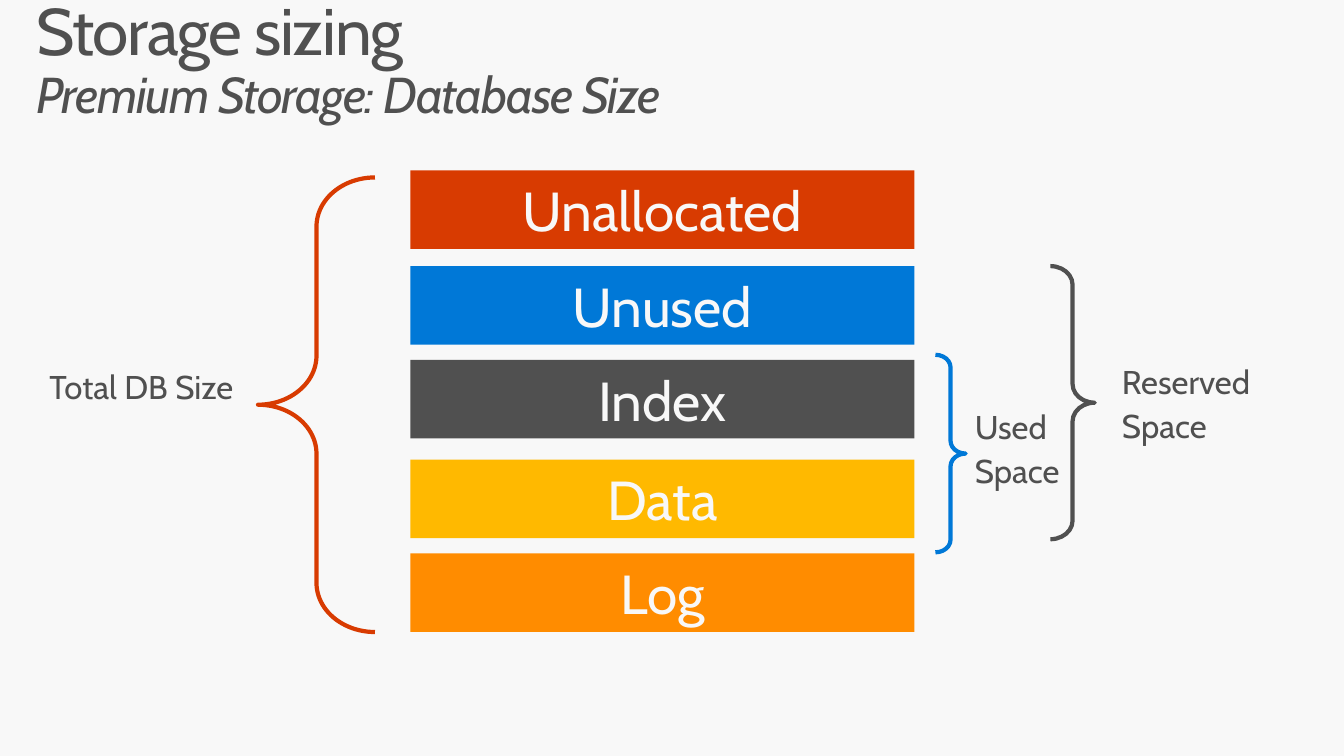
from pptx import Presentation
from pptx.dml.color import RGBColor
from pptx.enum.shapes import MSO_SHAPE
from pptx.enum.text import MSO_ANCHOR, MSO_AUTO_SIZE, PP_ALIGN
from pptx.util import Inches, Pt

WIDE, HIGH = Inches(13.33), Inches(7.5)
FONT = "Cabin"
PAPER = RGBColor(0xF8, 0xF8, 0xF8)
GREY = RGBColor(0x50, 0x50, 0x50)
RED = RGBColor(0xD8, 0x3B, 0x01)
BLUE = RGBColor(0x00, 0x78, 0xD7)
GOLD = RGBColor(0xFF, 0xB9, 0x00)
ORANGE = RGBColor(0xFF, 0x8C, 0x00)

BARS = [
    ("Unallocated", RED, 22.53),
    ("Unused", BLUE, 35.2),
    ("Index", GREY, 47.6),
    ("Data", GOLD, 60.8),
    ("Log", ORANGE, 73.2),
]
BRACES = [
    (RED, 0, (19.2, 23.47, 8.7, 60.13)),
    (BLUE, 180, (69.6, 46.93, 2.25, 26.13)),
    (GREY, 180, (78.15, 35.2, 3.3, 36.13)),
]
LABELS = [
    ("Total DB Size", False, (2.18, 46.93, 17.25, 8.93)),
    ("Reserved\nSpace", True, (81.98, 46.27, 21.08, 14.8)),
    ("Used\nSpace", True, (71.03, 52.27, 9.83, 14.8)),
]


def place(left, top, width, height):
    """Turn percentages of the slide into lengths."""
    return (int(WIDE * left / 100), int(HIGH * top / 100),
            int(WIDE * width / 100), int(HIGH * height / 100))


def inset(frame, side, edge):
    """Set the inner margins of a text frame in inches."""
    frame.margin_left = frame.margin_right = Inches(side)
    frame.margin_top = frame.margin_bottom = Inches(edge)


def style(run, size, color):
    """Give a run its font, size and colour."""
    run.font.name = FONT
    run.font.size = Pt(size)
    run.font.color.rgb = color


def add_title(slide):
    """Fill the title placeholder with a heading and an italic subheading."""
    title = slide.shapes.title
    title.left, title.top, title.width, title.height = place(1.5, -1.47, 95.63, 13.07)
    frame = title.text_frame
    frame.word_wrap = True
    frame.auto_size = MSO_AUTO_SIZE.NONE
    frame.vertical_anchor = MSO_ANCHOR.TOP
    inset(frame, 0.16, 0.1)
    para = frame.paragraphs[0]
    para.text = "Storage sizing\vPremium Storage: Database Size"
    para.alignment = PP_ALIGN.LEFT
    para.line_spacing = 0.9
    for run, size in zip(para.runs, (47, 36)):
        style(run, size, GREY)
        run.font.italic = size == 36
        run._r.get_or_add_rPr().set("spc", "-100")


def add_bar(slide, text, color, top):
    """Draw one coloured layer of the database."""
    bar = slide.shapes.add_shape(MSO_SHAPE.RECTANGLE, *place(30.53, top, 37.5, 10.4))
    bar.shadow.inherit = False
    bar.fill.solid()
    bar.fill.fore_color.rgb = color
    bar.line.fill.background()
    frame = bar.text_frame
    frame.vertical_anchor = MSO_ANCHOR.MIDDLE
    inset(frame, 0, 0.05)
    para = frame.paragraphs[0]
    para.text = text
    para.alignment = PP_ALIGN.CENTER
    style(para.runs[0], 39.2, PAPER)


def add_brace(slide, color, turn, box):
    """Draw a brace that spans a group of layers."""
    brace = slide.shapes.add_shape(MSO_SHAPE.LEFT_BRACE, *place(*box))
    brace.shadow.inherit = False
    brace.rotation = turn
    brace.adjustments[0] = 0.42
    brace.adjustments[1] = 0.5
    brace.fill.background()
    brace.line.color.rgb = color
    brace.line.width = Pt(3)


def add_label(slide, text, wrap, box):
    """Write the name of a brace beside it."""
    frame = slide.shapes.add_textbox(*place(*box)).text_frame
    frame.text = text
    frame.word_wrap = wrap
    frame.auto_size = MSO_AUTO_SIZE.SHAPE_TO_FIT_TEXT
    inset(frame, 0.2, 0.16)
    for para in frame.paragraphs:
        para.line_spacing = 0.9
        para.space_after = Pt(5.9)
        style(para.runs[0], 23.5, GREY)


def main():
    """Build the slide and save it."""
    deck = Presentation()
    deck.slide_width, deck.slide_height = WIDE, HIGH
    slide = deck.slides.add_slide(deck.slide_layouts.get_by_name("Title Only"))
    slide.background.fill.solid()
    slide.background.fill.fore_color.rgb = PAPER
    add_title(slide)
    for bar in BARS:
        add_bar(slide, *bar)
    for brace in BRACES:
        add_brace(slide, *brace)
    for label in LABELS:
        add_label(slide, *label)
    deck.save("out.pptx")


if __name__ == "__main__":
    main()
